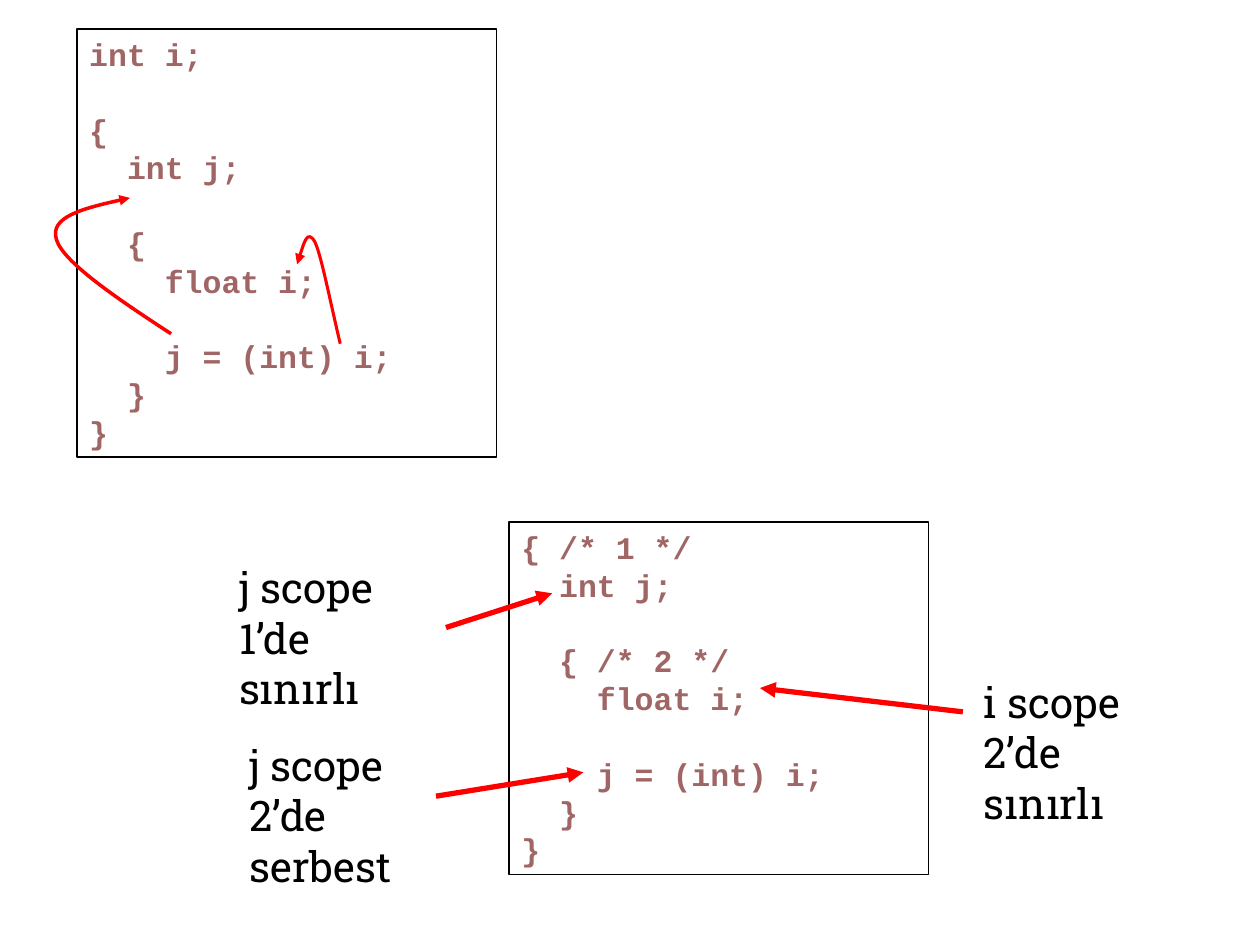
"""Build a slide on variable scope in nested code blocks."""
from dataclasses import dataclass

from lxml import etree
from pptx import Presentation
from pptx import util as u
from pptx.dml.color import RGBColor
from pptx.enum import shapes, text
from pptx.oxml.ns import qn


@dataclass(frozen=True)
class Theme:
    """Colours, fonts and type sizes."""
    ink: str = "000000"
    code: str = "A06565"
    red: str = "FF0000"
    mono: str = "Courier New"
    slab: str = "Roboto Slab"
    small: int = 18
    large: int = 24
    lead: float = 1.2


def write(frame, words, *, face, size, hue, lead, bold=False):
    """Fill a text frame, one paragraph to each line of words."""
    frame.word_wrap = True
    frame.vertical_anchor = text.MSO_ANCHOR.TOP
    for num, line in enumerate(words.split("\n")):
        para = frame.add_paragraph() if num else frame.paragraphs[0]
        para.alignment = text.PP_ALIGN.LEFT
        para.line_spacing = u.Pt(size * lead)
        if line:
            run = para.add_run()
            run.text = line
            font = run.font
            font.name, font.size, font.bold = face, u.Pt(size), bold
            font.color.rgb = RGBColor.from_string(hue)


class Board:
    """Draws styled elements on the current slide."""

    def __init__(self, slide, theme):
        """Keep the slide and its theme."""
        self.slide, self.theme = slide, theme

    def stroke(self, item, hue, width):
        """Set the outline of an item."""
        item.line.color.rgb = RGBColor.from_string(hue)
        item.line.width = u.Pt(width)

    def tip(self, item, width):
        """Give a red line an arrowhead at its end."""
        self.stroke(item, self.theme.red, width)
        etree.SubElement(item.line._get_or_add_ln(), qn("a:tailEnd"), type="triangle")

    def code(self, words, *area):
        """Add a framed listing."""
        box = self.slide.shapes.add_shape(
            shapes.MSO_SHAPE.RECTANGLE, *map(u.Cm, area))
        box.shadow.inherit = False
        box.fill.background()
        look = self.theme
        self.stroke(box, look.ink, 1)
        write(box.text_frame, words, face=look.mono, size=look.small,
              hue=look.code, lead=look.lead, bold=True)

    def label(self, words, *area):
        """Add a plain note."""
        box = self.slide.shapes.add_textbox(*map(u.Cm, area))
        look = self.theme
        write(box.text_frame, words, face=look.slab, size=look.large,
              hue=look.ink, lead=look.lead)

    def arrow(self, *ends):
        """Add a straight arrow."""
        line = self.slide.shapes.add_connector(
            shapes.MSO_CONNECTOR.STRAIGHT, *map(u.Cm, ends))
        self.tip(line, 3)
        etree.SubElement(line._element.spPr, qn("a:effectLst"))

    def curve(self, width, *points):
        """Add a curved arrow from a start and triples of Bezier points."""
        first, *rest = [(u.Cm(x), u.Cm(y)) for x, y in points]
        pen = self.slide.shapes.build_freeform(*first)
        pen.add_line_segments(rest, close=False)
        item = pen.convert_to_shape()
        item.shadow.inherit = False
        item.fill.background()
        self.tip(item, width)
        legs = list(item._element.iter(qn("a:lnTo")))
        for num in range(0, len(legs), 3):
            trio = legs[num:num + 3]
            bend = etree.Element(qn("a:cubicBezTo"))
            trio[0].addprevious(bend)
            for leg in trio:
                bend.append(leg[0])
                leg.getparent().remove(leg)


OUTER = """int i;

{
  int j;

  {
    float i;

    j = (int) i;
  }
}"""

INNER = """{ /* 1 */
  int j;

  { /* 2 */
    float i;

    j = (int) i;
  }
}"""


def main():
    """Build and save the slide."""
    deck = Presentation()
    deck.slide_width, deck.slide_height = u.Cm(25.4), u.Cm(19.05)
    board = Board(deck.slides.add_slide(deck.slide_layouts[6]), Theme())

    board.code(OUTER, 1.55, 0.58, 8.46, 8.64)
    board.curve(2, (3.45, 6.73), (2.36, 6.02), (1.27, 5.28), (1.14, 4.83),
                (0.99, 4.37), (1.8, 4.17), (2.62, 3.99))
    board.curve(1.75, (6.86, 6.93), (6.65, 6.05), (6.48, 5.16), (6.35, 4.88),
                (6.2, 4.62), (6.1, 4.98), (5.99, 5.33))
    board.code(INNER, 10.26, 10.52, 8.46, 7.11)

    board.label("i scope 2’de\nsınırlı", 19.58, 13.51, 4.75, 2.31)
    board.label("j scope 2’de\nserbest", 4.78, 14.78, 4.75, 2.31)
    board.label("j scope 1’de\nsınırlı", 4.57, 11.2, 4.57, 2.31)

    board.arrow(19.41, 14.35, 15.32, 13.87)
    board.arrow(8.79, 16.05, 11.76, 15.57)
    board.arrow(8.99, 12.65, 11.13, 11.96)
    deck.save("out.pptx")


if __name__ == "__main__":
    main()
